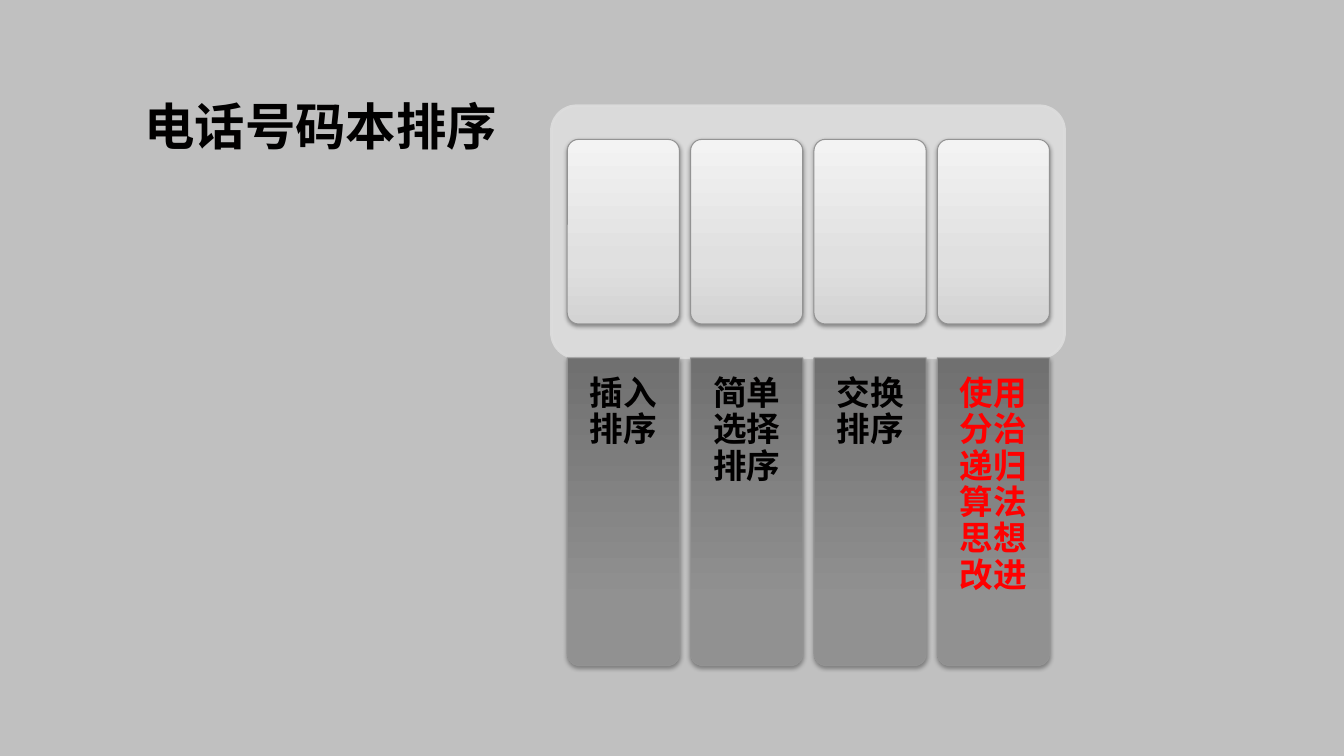
from lxml import etree
from pptx import Presentation
from pptx.dml.color import RGBColor
from pptx.enum import shapes, text
from pptx.oxml import parse_xml
from pptx.oxml.ns import nsdecls, qn
from pptx.util import Pt

BACKGROUND = RGBColor(0xC0, 0xC0, 0xC0)
PANEL = RGBColor(0xDD, 0xDD, 0xDD)
OUTLINE = RGBColor(0x93, 0x93, 0x93)
INK = RGBColor(0x01, 0x00, 0x00)
RED = RGBColor(0xFF, 0x00, 0x00)
CARD_STOPS = [(0, RGBColor(0xD3, 0xD3, 0xD3)), (35, RGBColor(0xE0, 0xE0, 0xE0)),
              (100, RGBColor(0xF3, 0xF3, 0xF3))]
COLUMN_STOPS = [(0, RGBColor(0x70, 0x70, 0x70)), (80, RGBColor(0x91, 0x91, 0x91)),
                (100, RGBColor(0x92, 0x92, 0x92))]

LATIN = "Calibri"
CHINESE = "Noto Sans CJK SC"
COLUMNS = [
    ("插入排序", LATIN, INK),
    ("简单选择排序", CHINESE, INK),
    ("交换排序", LATIN, INK),
    ("使用分治递归算法思想改进", CHINESE, RED),
]
FIRST_LEFT, STEP, WIDTH = 405.2, 88.12, 80.1


def add_shape(slide, preset, box, line_color, line_width, corner):
    shape = slide.shapes.add_shape(preset, *map(Pt, box))
    shape.shadow.inherit = False
    shape.adjustments[0] = corner
    shape.line.color.rgb = line_color
    shape.line.width = Pt(line_width)
    return shape


def set_gradient(shape, stops):
    """Fill from bottom to top, turning with the shape."""
    stop_xml = "".join(
        f'<a:gs pos="{position * 1000}"><a:srgbClr val="{color}"/></a:gs>'
        for position, color in stops)
    gradient = parse_xml(
        f'<a:gradFill {nsdecls("a")} rotWithShape="1"><a:gsLst>{stop_xml}</a:gsLst>'
        '<a:lin ang="16200000" scaled="0"/></a:gradFill>')
    shape._element.spPr.find(qn("a:prstGeom")).addnext(gradient)


def set_shadow(shape, opacity, distance):
    effects = shape._element.spPr.find(qn("a:effectLst"))
    effects.append(parse_xml(
        f'<a:outerShdw {nsdecls("a")} blurRad="{Pt(3.1)}" dist="{Pt(distance)}" '
        f'dir="5400000" rotWithShape="0"><a:srgbClr val="000000">'
        f'<a:alpha val="{opacity * 1000}"/></a:srgbClr></a:outerShdw>'))


def add_text(slide, content, box, size, font=LATIN, color=INK, spacing=1.0, after=0,
             align=text.PP_ALIGN.LEFT, anchor=text.MSO_ANCHOR.TOP, insets=(7.2, 3.6)):
    frame = slide.shapes.add_textbox(*map(Pt, box)).text_frame
    frame.word_wrap = True
    frame.vertical_anchor = anchor
    frame.margin_left = frame.margin_right = Pt(insets[0])
    frame.margin_top = frame.margin_bottom = Pt(insets[1])
    paragraph = frame.paragraphs[0]
    paragraph.alignment = align
    paragraph.line_spacing = spacing
    paragraph.space_after = Pt(after)
    run = paragraph.add_run()
    run.text = content
    run.font.name = font
    run.font.size = Pt(size)
    run.font.bold = True
    run.font.color.rgb = color
    etree.SubElement(run.font._element, qn("a:ea"), typeface=LATIN)


def add_panel(slide):
    panel = add_shape(slide, shapes.MSO_SHAPE.ROUNDED_RECTANGLE,
                      (393.9, 75.6, 366.5, 180), PANEL, 2, 0.1)
    panel.fill.solid()
    panel.fill.fore_color.rgb = PANEL
    for color in panel._element.spPr.iter(qn("a:srgbClr")):
        etree.SubElement(color, qn("a:alpha"), val="90000")


def add_column(slide, left, label, font, color):
    card = add_shape(slide, shapes.MSO_SHAPE.ROUNDED_RECTANGLE,
                     (left, 99.6, WIDTH, 131.8), OUTLINE, 0.75, 0.1)
    set_gradient(card, CARD_STOPS)
    set_shadow(card, 38, 1.6)

    column = add_shape(slide, shapes.MSO_SHAPE.ROUND_2_SAME_RECTANGLE,
                       (left, 255.6, WIDTH, 219.8), OUTLINE, 0.75, 0.105)
    column.rotation = 180
    set_gradient(column, COLUMN_STOPS)
    set_shadow(column, 35, 1.8)

    add_text(slide, label, (left + 2.4, 255.6, 75.3, 217.4), 24, font, color,
             spacing=0.9, after=8.4, align=text.PP_ALIGN.CENTER, insets=(13.4, 13.4))


def main():
    presentation = Presentation()
    presentation.slide_width, presentation.slide_height = Pt(960), Pt(540)
    slide = presentation.slides.add_slide(presentation.slide_layouts[6])
    slide.background.fill.solid()
    slide.background.fill.fore_color.rgb = BACKGROUND

    add_text(slide, "电话号码本排序", (96, 48, 768, 90), 36, spacing=0.85,
             anchor=text.MSO_ANCHOR.MIDDLE)
    add_panel(slide)
    for index, (label, font, color) in enumerate(COLUMNS):
        add_column(slide, FIRST_LEFT + index * STEP, label, font, color)
    presentation.save("out.pptx")


if __name__ == "__main__":
    main()
